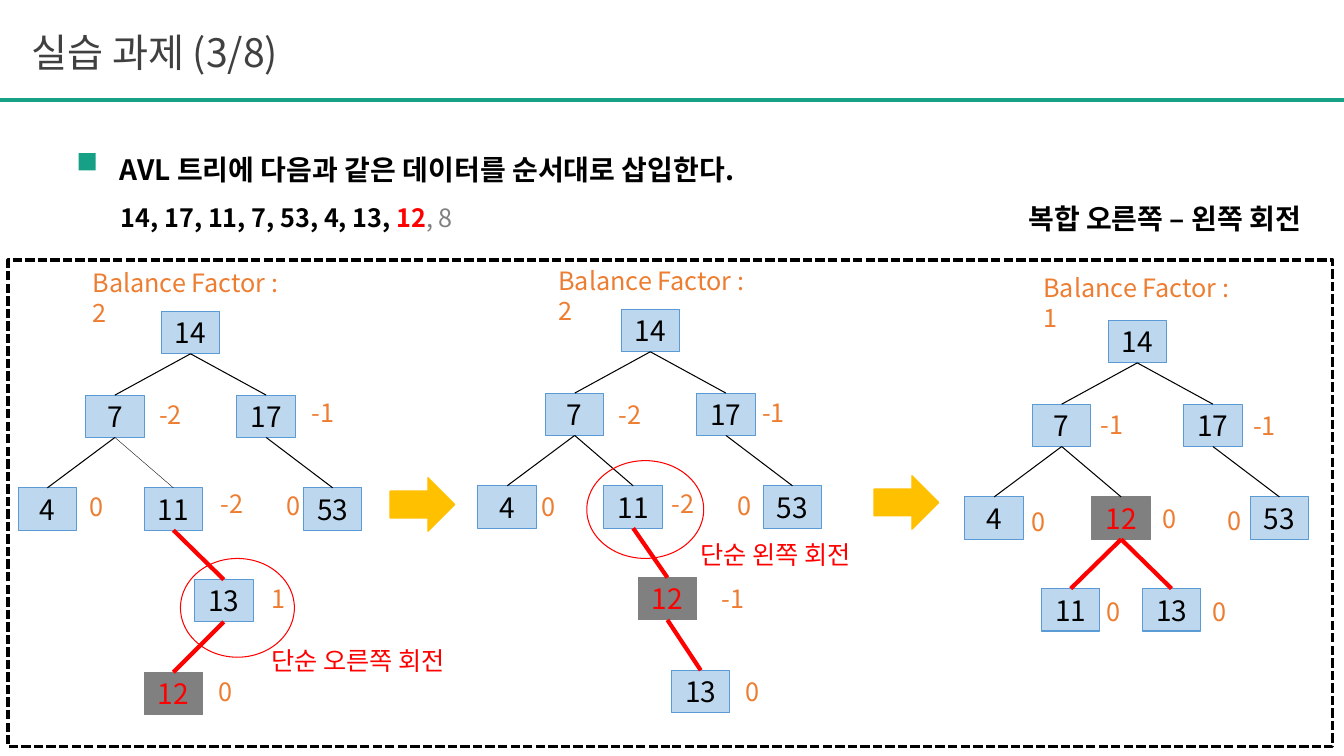
from lxml import etree
from pptx import Presentation
from pptx.dml.color import RGBColor
from pptx.enum.dml import MSO_LINE_DASH_STYLE as Dash
from pptx.enum.shapes import MSO_CONNECTOR as Connector, MSO_SHAPE as Shape
from pptx.enum.text import MSO_ANCHOR as Anchor, MSO_AUTO_SIZE as AutoSize, PP_ALIGN as Align
from pptx.oxml.ns import qn
from pptx.util import Inches, Pt

FONT = "Noto Sans CJK KR"
BLACK = RGBColor(0x00, 0x00, 0x00)
DARK = RGBColor(0x40, 0x40, 0x40)
GRAY = RGBColor(0x80, 0x80, 0x80)
WHITE = RGBColor(0xFF, 0xFF, 0xFF)
RED = RGBColor(0xFF, 0x00, 0x00)
TEAL = RGBColor(0x16, 0xA0, 0x85)
ORANGE = RGBColor(0xED, 0x7D, 0x31)
GOLD = RGBColor(0xFF, 0xC0, 0x00)
NODE_FILL = RGBColor(0xBD, 0xD7, 0xEE)
NODE_LINE = RGBColor(0x5B, 0x9B, 0xD5)

NODE_W, NODE_H = 0.58, 0.42

# Each node: key, left and top relative to the root, parent
UPPER_NODES = [
    ("14", 0, 0, None),
    ("7", -0.75, 0.83, "14"),
    ("17", 0.75, 0.83, "14"),
    ("4", -1.42, 1.75, "7"),
    ("53", 1.41, 1.75, "17"),
]
# Each tree: root left and top, inner and lower nodes, balance factors
TREES = [
    (1.6, 3.09,
     [("11", -0.17, 1.75, "7"), ("13", 0.33, 2.66, "11"), ("12", -0.17, 3.58, "13")],
     [("-2", 1.48, 3.91), ("-1", 2.99, 3.89), ("0", 0.79, 4.83), ("-2", 2.09, 4.8),
      ("0", 2.74, 4.82), ("1", 2.59, 5.74), ("0", 2.07, 6.66)]),
    (6.16, 3.07,
     [("11", -0.17, 1.75, "7"), ("12", 0.17, 2.66, "11"), ("13", 0.5, 3.58, "12")],
     [("-2", 6.04, 3.91), ("-1", 7.46, 3.89), ("0", 5.27, 4.83), ("-2", 6.56, 4.8),
      ("0", 7.22, 4.82), ("-1", 7.06, 5.74), ("0", 7.3, 6.66)]),
    (10.99, 3.18,
     [("12", -0.16, 1.75, "7"), ("11", -0.66, 2.66, "12"), ("13", 0.34, 2.66, "12")],
     [("-1", 10.82, 4.01), ("-1", 12.33, 4.02), ("0", 10.13, 4.97), ("0", 11.43, 4.94),
      ("0", 12.08, 4.96), ("0", 10.88, 5.87), ("0", 11.93, 5.87)]),
]


def add_run(paragraph, text, size, color, bold=False):
    run = paragraph.add_run()
    run.text = text
    run.font.size = Pt(size)
    run.font.bold = bold
    run.font.color.rgb = color
    run.font.name = FONT
    etree.SubElement(run.font._element, qn("a:ea"), typeface=FONT)


def add_figure(kind, left, top, width, height, fill=None, line=None, weight=0.75):
    figure = slide.shapes.add_shape(
        kind, Inches(left), Inches(top), Inches(width), Inches(height))
    figure.shadow.inherit = False
    if fill is None:
        figure.fill.background()
    else:
        figure.fill.solid()
        figure.fill.fore_color.rgb = fill
    if line is None:
        figure.line.fill.background()
    else:
        figure.line.color.rgb = line
        figure.line.width = Pt(weight)
    return figure


prs = Presentation()
prs.slide_width, prs.slide_height = Inches(13.33), Inches(7.5)
slide = prs.slides.add_slide(prs.slide_layouts[5])

# Header
title = slide.shapes.title
title.left, title.top = Inches(0.21), Inches(0.23)
title.width, title.height = Inches(10.15), Inches(0.57)
title.text_frame.auto_size = AutoSize.NONE
title.text_frame.vertical_anchor = Anchor.MIDDLE
heading = title.text_frame.paragraphs[0]
heading.alignment = Align.LEFT
add_run(heading, "실습 과제 (3/8)", 28, DARK)

header_rule = slide.shapes.add_connector(
    Connector.STRAIGHT, 0, Inches(0.99), prs.slide_width, Inches(0.99))
lines = [(header_rule, TEAL, 3)]
add_figure(Shape.RECTANGLE, 0.78, 1.52, 0.17, 0.17, TEAL)

# Trees
for tree_number, (root_left, root_top, lower_nodes, _) in enumerate(TREES):
    nodes = {}
    for key, dx, dy, parent in UPPER_NODES + lower_nodes:
        inserted = key == "12"
        node = add_figure(Shape.RECTANGLE, root_left + dx, root_top + dy, NODE_W, NODE_H,
                          GRAY if inserted else NODE_FILL, GRAY if inserted else NODE_LINE)
        node.text_frame.word_wrap = False
        node.text_frame.vertical_anchor = Anchor.MIDDLE
        label = node.text_frame.paragraphs[0]
        label.alignment = Align.CENTER
        add_run(label, key, 20, RED if inserted else BLACK)
        nodes[key] = node
        if parent:
            edge = slide.shapes.add_connector(Connector.STRAIGHT, 0, 0, 0, 0)
            edge.begin_connect(nodes[parent], 2)
            edge.end_connect(node, 0)
            if parent in ("11", "12", "13"):
                lines.append((edge, RED, 3))
            else:
                thin = tree_number == 0 and key == "11"
                lines.append((edge, BLACK, 0.25 if thin else 0.75))

for line, color, weight in lines:
    line.line.color.rgb = color
    line.line.width = Pt(weight)
    etree.SubElement(line._element.spPr, qn("a:effectLst"))

# Rotations
add_figure(Shape.OVAL, 1.79, 5.54, 1.13, 0.98, line=RED)
add_figure(Shape.OVAL, 5.82, 4.57, 1.16, 0.97, line=RED)
add_figure(Shape.RIGHT_ARROW, 3.87, 4.74, 0.64, 0.53, GOLD, GOLD, 1)
add_figure(Shape.RIGHT_ARROW, 8.67, 4.72, 0.64, 0.53, GOLD, GOLD, 1)
frame = add_figure(Shape.RECTANGLE, 0.08, 2.58, 13.14, 4.83, line=BLACK, weight=2.25)
frame.line.dash_style = Dash.SQUARE_DOT

rotation_name = add_figure(Shape.RECTANGLE, 10.1, 1.95, 3.36, 0.44, WHITE)
rotation_name.text_frame.word_wrap = True
rotation_name.text_frame.vertical_anchor = Anchor.TOP
rotation_text = rotation_name.text_frame.paragraphs[0]
rotation_text.alignment = Align.LEFT
add_run(rotation_text, "복합 오른쪽 – 왼쪽 회전", 20, BLACK, True)

# Captions: left, top, width, height, size, line spacing, runs
captions = [
    (1.09, 1.13, 7, 0.77, 20, 2.0,
     [("AVL 트리에 다음과 같은 데이터를 순서대로 삽입한다.", BLACK, True)]),
    (1.1, 1.96, 3.8, 0.4, 18, 1.0,
     [("14, 17, 11, 7, 53, 4, 13, ", BLACK, True), ("12", RED, True), (", 8", GRAY, False)]),
    (0.82, 2.6, 2.2, 0.4, 18, 1.0, [("Balance Factor : 2", ORANGE, False)]),
    (5.44, 2.58, 2.2, 0.4, 18, 1.0, [("Balance Factor : 2", ORANGE, False)]),
    (10.25, 2.65, 2.2, 0.4, 18, 1.0, [("Balance Factor : 1", ORANGE, False)]),
    (2.59, 6.35, 2.24, 0.4, 18, 1.0, [("단순 오른쪽 회전", RED, False)]),
    (6.85, 5.3, 1.98, 0.4, 18, 1.0, [("단순 왼쪽 회전", RED, False)]),
]
for _, _, _, factors in TREES:
    for factor, left, top in factors:
        width = 0.44 if factor.startswith("-") else 0.34
        captions.append((left, top, width, 0.4, 18, 1.0, [(factor, ORANGE, False)]))

for left, top, width, height, size, spacing, runs in captions:
    caption = slide.shapes.add_textbox(
        Inches(left), Inches(top), Inches(width), Inches(height))
    caption.text_frame.word_wrap = True
    paragraph = caption.text_frame.paragraphs[0]
    paragraph.line_spacing = spacing
    for text, color, bold in runs:
        add_run(paragraph, text, size, color, bold)

prs.save("out.pptx")
